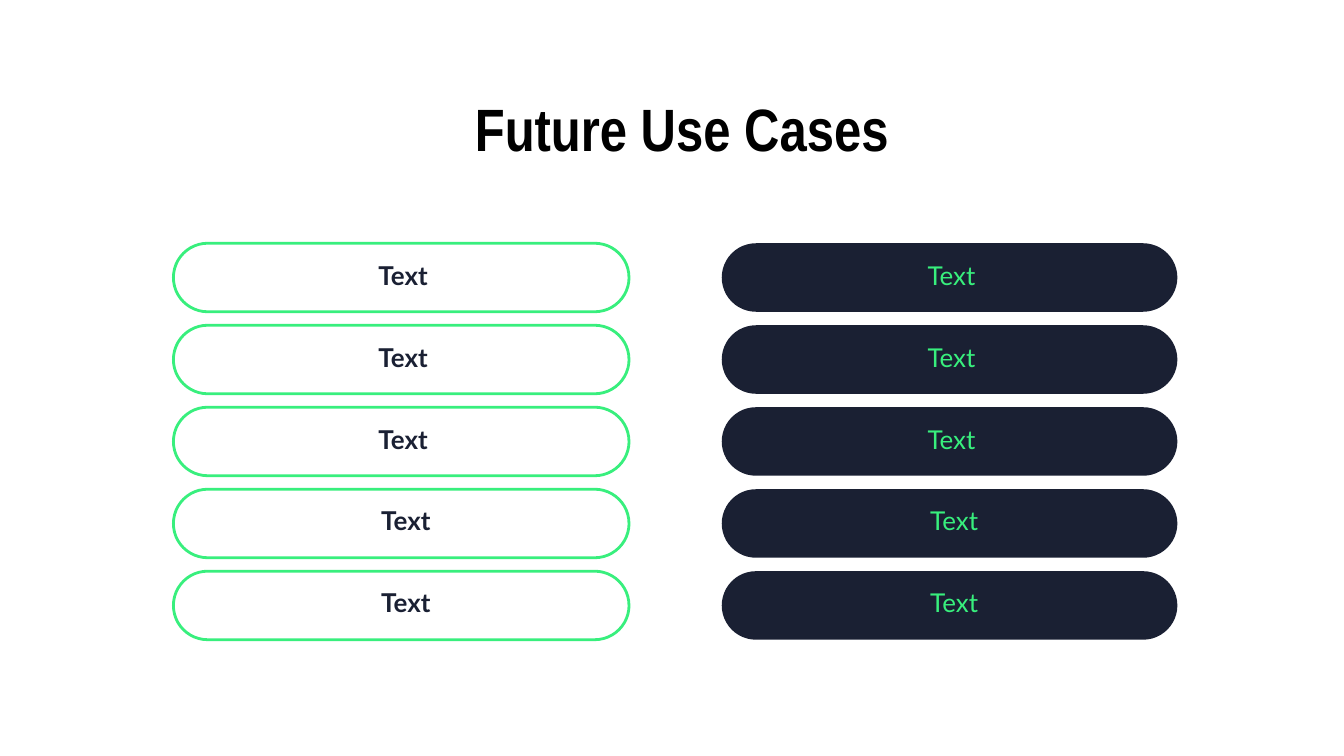
from dataclasses import dataclass

from pptx import Presentation
from pptx.dml.color import RGBColor
from pptx.enum.shapes import MSO_SHAPE
from pptx.enum.text import MSO_ANCHOR, PP_ALIGN
from pptx.shapes.autoshape import Shape
from pptx.slide import Slide
from pptx.util import Inches, Pt

GREEN = "38EF7D"
NAVY = "1A2033"
ROWS = 5
TOP = 1.81
STEP = 0.61


@dataclass
class Column:
    """A stack of pills that share one style."""

    left: float
    ink: str
    bold: bool
    fill: str | None = None
    line: str | None = None


COLUMNS = [
    Column(1.29, NAVY, True, line=GREEN),
    Column(5.37, GREEN, False, fill=NAVY),
]


def color(code: str) -> RGBColor:
    """Turn a hex string into a colour."""
    return RGBColor.from_string(code)


def write(shape: Shape, text: str, *, size: float, font: str, ink: str,
          bold: bool = False, space: float = 1.0) -> None:
    """Put one centred line of formatted text in a shape."""
    frame = shape.text_frame
    frame.word_wrap = True
    frame.vertical_anchor = MSO_ANCHOR.TOP
    frame.margin_left = frame.margin_right = Inches(0.1)
    frame.margin_top = frame.margin_bottom = Inches(0.1)
    line = frame.paragraphs[0]
    line.alignment = PP_ALIGN.CENTER
    line.line_spacing = space
    line.space_before = Pt(0)
    run = line.add_run()
    run.text = text
    run.font.size = Pt(size)
    run.font.name = font
    run.font.bold = bold
    run.font.color.rgb = color(ink)


def draw_pill(slide: Slide, col: Column, row: int) -> None:
    """Draw the rounded outline of one row."""
    pill = slide.shapes.add_shape(
        MSO_SHAPE.ROUNDED_RECTANGLE, Inches(col.left),
        Inches(TOP + row * STEP), Inches(3.39), Inches(0.51))
    pill.adjustments[0] = 0.5
    pill.shadow.inherit = False
    if col.fill:
        pill.fill.solid()
        pill.fill.fore_color.rgb = color(col.fill)
    else:
        pill.fill.background()
    if col.line:
        pill.line.color.rgb = color(col.line)
        pill.line.width = Pt(1.5)
    else:
        pill.line.fill.background()


def draw_label(slide: Slide, col: Column, row: int) -> None:
    """Write the label of one row, set a little right in the last two."""
    shift = 0.28 if row < 3 else 0.3
    box = slide.shapes.add_textbox(
        Inches(col.left + shift), Inches(TOP + 0.07 + row * STEP),
        Inches(2.86), Inches(0.39))
    write(box, "Text", size=13.9, font="Lato", ink=col.ink,
          bold=col.bold, space=0.8)


def main() -> None:
    """Build and save the slide."""
    deck = Presentation()
    deck.slide_width = Inches(10)
    deck.slide_height = deck.slide_width * 9 // 16
    slide = deck.slides.add_slide(deck.slide_layouts[5])
    title = slide.shapes.title
    title.left, title.top = Inches(1.29), Inches(0.58)
    title.width, title.height = Inches(7.57), Inches(0.74)
    write(title, "Future Use Cases", size=32, font="Arial Narrow",
          ink="000000", bold=True)
    for col in COLUMNS:
        for draw in (draw_pill, draw_label):
            for row in range(ROWS):
                draw(slide, col, row)
    deck.save("out.pptx")


if __name__ == "__main__":
    main()
